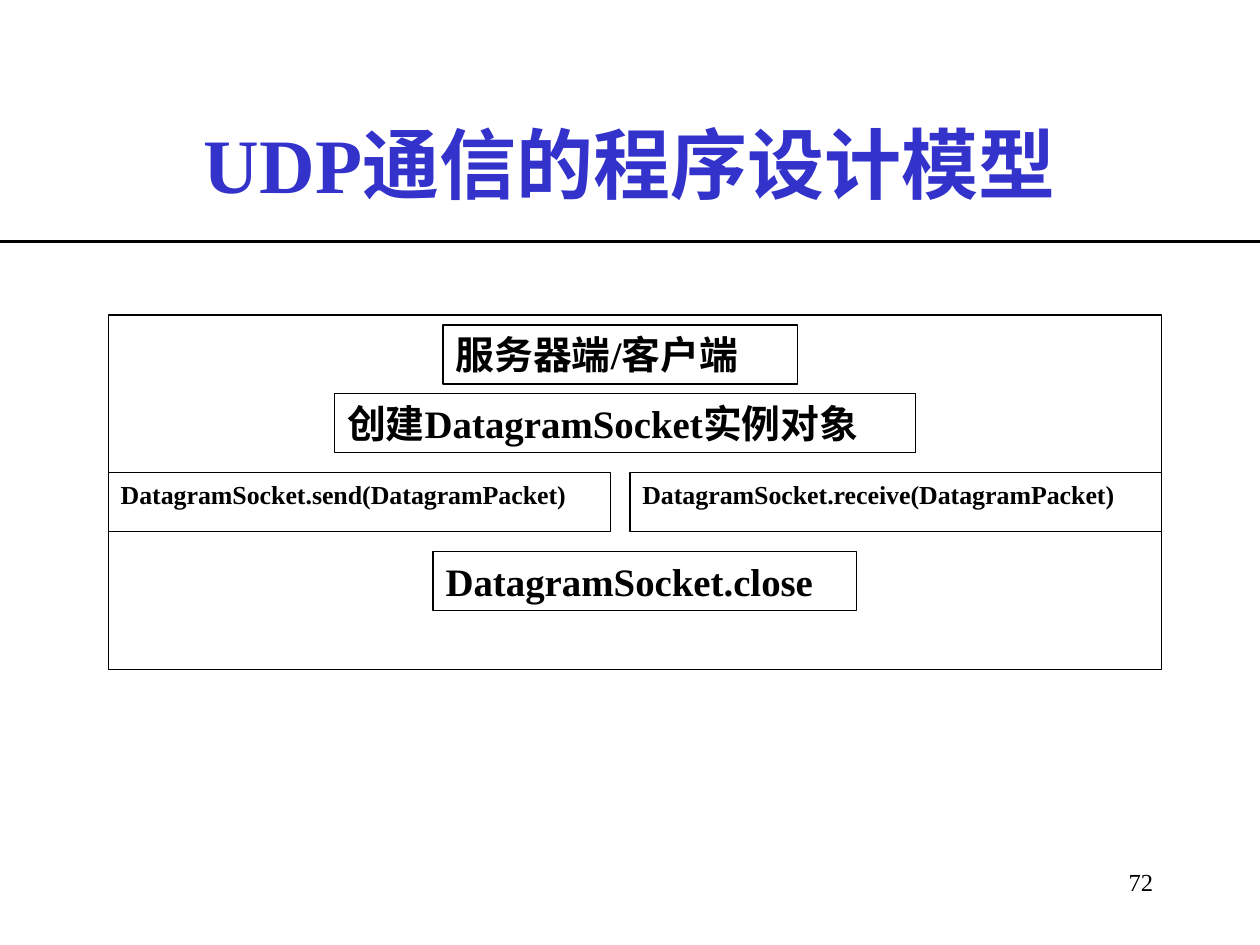
from lxml import etree
from pptx import Presentation
from pptx import util as u
from pptx.dml.color import RGBColor
from pptx.enum import shapes, text
from pptx.oxml.ns import qn

BLACK = RGBColor(0x00, 0x00, 0x00)
WHITE = RGBColor(0xFF, 0xFF, 0xFF)
BLUE = RGBColor(0x33, 0x33, 0xCC)
FONT = "Times New Roman"

# Content: text, box (left, top, width, height), alignment, anchor, font format
LABELS = [
    ("UDP通信的程序设计模型", (54, 48, 612, 90), text.PP_ALIGN.CENTER,
     text.MSO_ANCHOR.MIDDLE, {"size": u.Pt(44), "bold": True}, BLUE),
    ("72", (588, 492, 78, 36), text.PP_ALIGN.RIGHT,
     text.MSO_ANCHOR.TOP, {"size": u.Pt(14), "bold": False}, BLACK),
]

# Steps of the model: text, left, top, width, font size
STEPS = [
    ("服务器端/客户端", 253.13, 185.63, 202.5, 22.2),
    ("创建DatagramSocket实例对象", 191.25, 225, 331.88, 22.2),
    ("DatagramSocket.send(DatagramPacket)", 61.88, 270, 286.88, 14.8),
    ("DatagramSocket.receive(DatagramPacket)", 360, 270, 303.75, 14.8),
    ("DatagramSocket.close", 247.5, 315, 241.88, 22.2),
]
STEP_HEIGHT = 33.75
FRAME = (61.88, 180, 601.88, 202.5)
RULE_TOP = 138


def points(values):
    return [u.Pt(value) for value in values]


def write(shape, content, alignment, anchor, font_format, color):
    frame = shape.text_frame
    frame.word_wrap = True
    frame.vertical_anchor = anchor
    paragraph = frame.paragraphs[0]
    paragraph.alignment = alignment
    run = paragraph.add_run()
    run.text = content
    for name, value in {"name": FONT, **font_format}.items():
        setattr(run.font, name, value)
    run.font.color.rgb = color


def add_box(slide, box):
    shape = slide.shapes.add_shape(shapes.MSO_SHAPE.RECTANGLE, *points(box))
    shape.shadow.inherit = False
    shape.fill.solid()
    shape.fill.fore_color.rgb = WHITE
    shape.line.color.rgb = BLACK
    shape.line.width = u.Pt(0.75)
    return shape


def main():
    presentation = Presentation()
    presentation.slide_width, presentation.slide_height = points((720, 540))
    slide = presentation.slides.add_slide(presentation.slide_layouts[6])

    # Title and page number
    for content, box, *style in LABELS:
        write(slide.shapes.add_textbox(*points(box)), content, *style)

    # Rule under the title
    rule = slide.shapes.add_connector(
        shapes.MSO_CONNECTOR.STRAIGHT, *points((0, RULE_TOP, 720, RULE_TOP)))
    rule.line.color.rgb = BLACK
    rule.line.width = u.Pt(2.25)
    etree.SubElement(rule._element.spPr, qn("a:effectLst"))

    # Frame and the steps inside it
    add_box(slide, FRAME)
    for content, left, top, width, size in STEPS:
        step = add_box(slide, (left, top, width, STEP_HEIGHT))
        write(step, content, text.PP_ALIGN.LEFT, text.MSO_ANCHOR.TOP,
              {"size": u.Pt(size), "bold": True}, BLACK)

    presentation.save("out.pptx")


if __name__ == "__main__":
    main()
